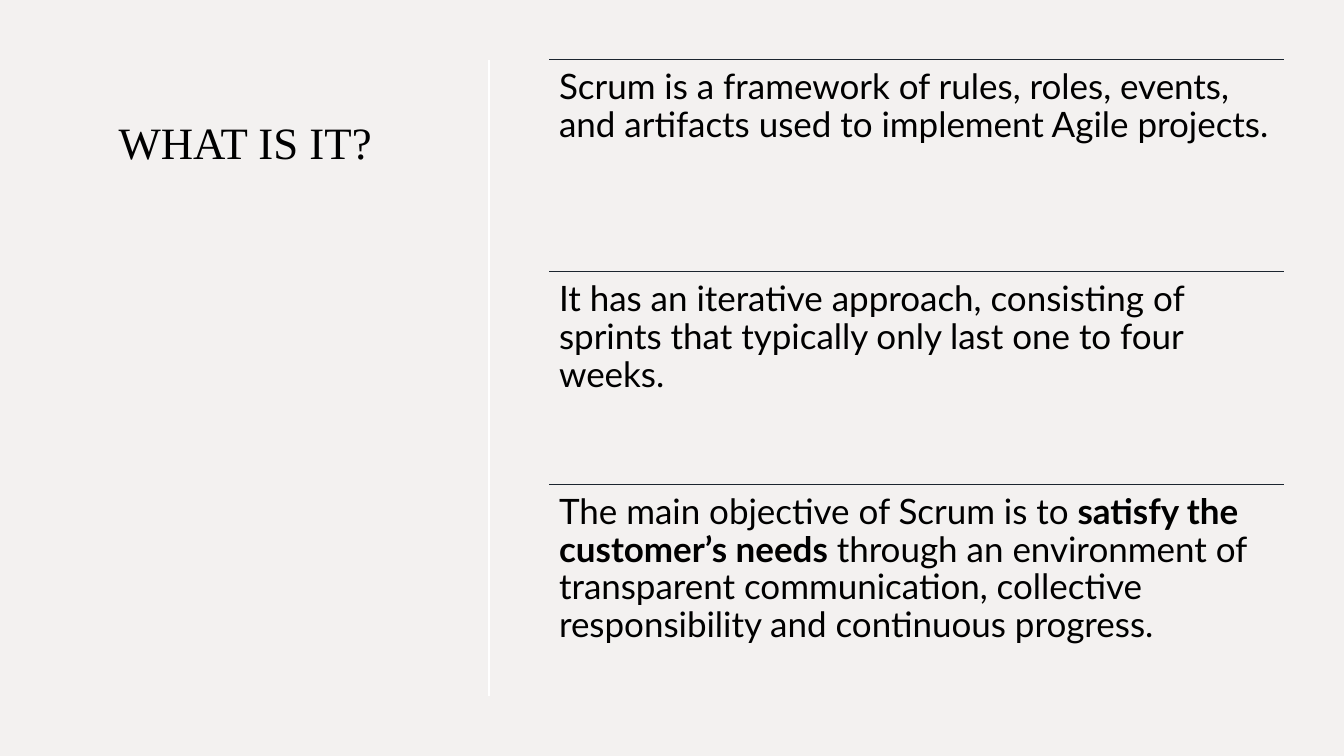
from pptx import Presentation
from pptx.dml.color import RGBColor
from pptx.enum.shapes import MSO_CONNECTOR
from pptx.enum.text import MSO_ANCHOR, PP_ALIGN
from pptx.oxml.ns import qn
from pptx.util import Cm, Pt
from lxml import etree

BACKGROUND = RGBColor(0xF3, 0xF1, 0xF0)
BLACK = RGBColor(0, 0, 0)
WHITE = RGBColor(0xFF, 0xFF, 0xFF)
NAVY = RGBColor(0x1B, 0x25, 0x2F)

INSET = Cm(0.25)
TOP = 1.5
FACT_LEFT, FACT_WIDTH, FACT_HEIGHT = 13.84, 18.52, 5.35
DIVIDER_X = 12.32

# Each fact is a list of (text, bold) runs
FACTS = [
    [("Scrum is a framework of rules, roles, events, and artifacts used to "
      "implement Agile projects.", False)],
    [("It has an iterative approach, consisting of sprints that typically "
      "only last one to four weeks.", False)],
    [("The main objective of Scrum is to ", False),
     ("satisfy the customer’s needs", True),
     (" through an environment of transparent communication, collective "
      "responsibility and continuous progress.", False)],
]

deck = Presentation()
deck.slide_width, deck.slide_height = Cm(33.87), Cm(19.05)
slide = deck.slides.add_slide(deck.slide_layouts[6])
slide.background.fill.solid()
slide.background.fill.fore_color.rgb = BACKGROUND


def add_text(runs, left, top, width, height, *, font, size, spacing=1.0):
    box = slide.shapes.add_textbox(Cm(left), Cm(top), Cm(width), Cm(height))
    frame = box.text_frame
    frame.word_wrap = True
    frame.vertical_anchor = MSO_ANCHOR.TOP
    frame.margin_left = frame.margin_right = INSET
    frame.margin_top = frame.margin_bottom = INSET
    paragraph = frame.paragraphs[0]
    paragraph.alignment = PP_ALIGN.LEFT
    paragraph.line_spacing = spacing
    for text, bold in runs:
        run = paragraph.add_run()
        run.text = text
        run.font.name = font
        run.font.size = Pt(size)
        run.font.bold = bold
        run.font.color.rgb = BLACK


def add_rule(x1, y1, x2, y2, color, weight):
    rule = slide.shapes.add_connector(
        MSO_CONNECTOR.STRAIGHT, Cm(x1), Cm(y1), Cm(x2), Cm(y2))
    rule.line.color.rgb = color
    rule.line.width = Pt(weight)
    etree.SubElement(rule._element.spPr, qn("a:effectLst"))


# Heading on the left
add_text([("WHAT IS IT?", False)], 2.74, 2.64, 7.77, 13.03,
         font="Times New Roman", size=32)

# Divider between heading and facts
add_rule(DIVIDER_X, TOP, DIVIDER_X, TOP + len(FACTS) * FACT_HEIGHT, WHITE, 1)

# Facts, each under its own rule
for row, fact in enumerate(FACTS):
    fact_top = TOP + row * FACT_HEIGHT
    add_rule(FACT_LEFT, fact_top, FACT_LEFT + FACT_WIDTH, fact_top, NAVY, 0.75)
    add_text(fact, FACT_LEFT, fact_top, FACT_WIDTH, FACT_HEIGHT,
             font="Lato", size=25, spacing=0.9)

deck.save("out.pptx")
